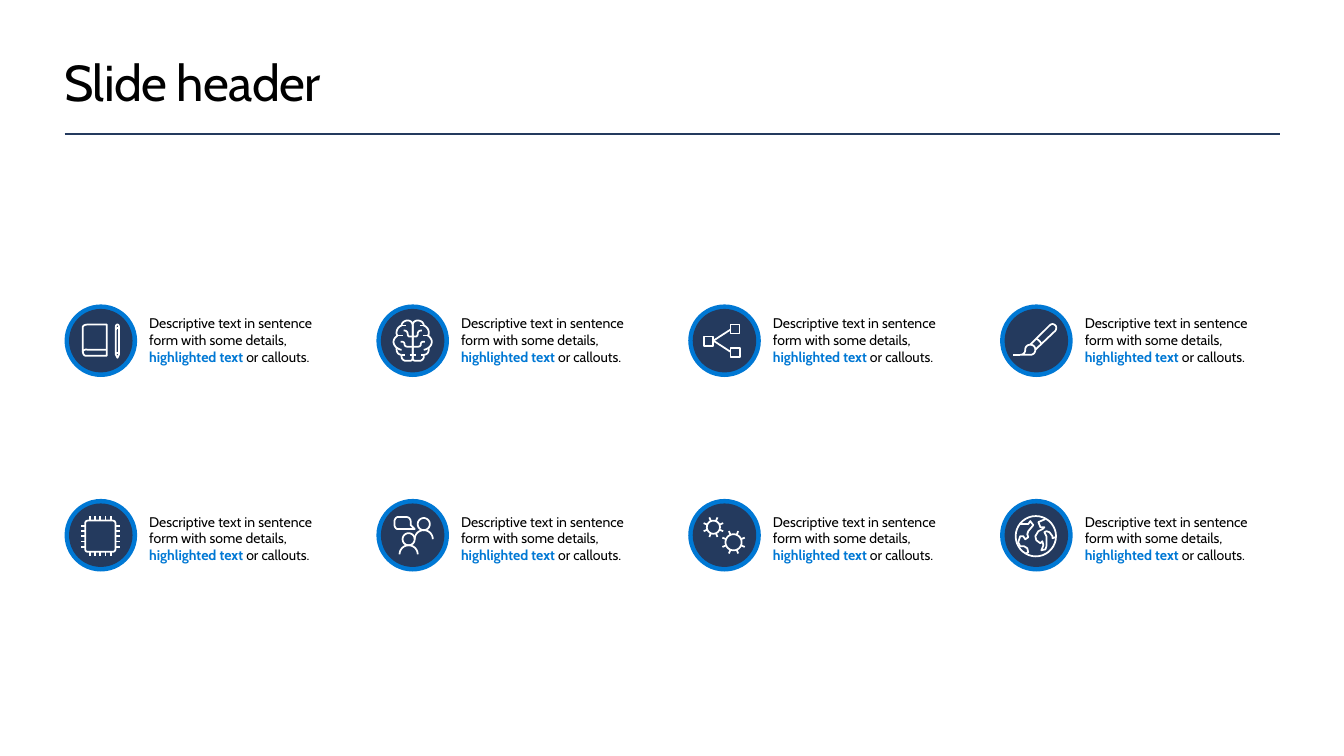
import dataclasses
import math

import lxml.etree
import pptx
import pptx.dml.color
import pptx.enum.shapes
import pptx.enum.text
import pptx.oxml.ns
import pptx.util

Point = tuple[float, float]
Stroke = list[Point]

NAVY = pptx.dml.color.RGBColor(0x24, 0x3A, 0x5E)
BLUE = pptx.dml.color.RGBColor(0x00, 0x78, 0xD4)
BLACK = pptx.dml.color.RGBColor(0x00, 0x00, 0x00)
WHITE = pptx.dml.color.RGBColor(0xFF, 0xFF, 0xFF)

FONT = "Cabin"
MARGIN, RIGHT, RULE_TOP = 0.64, 12.7, 1.33
COLUMNS, COLUMN_PITCH = 4, 3.093
ROW_CENTRES, ROW_TEXT_CENTRES = (3.38, 5.31), (3.37, 5.34)
DISC, INNER_DISC = 0.72, 0.63
TEXT_INDENT, TEXT_WIDTH, TEXT_HEIGHT = 0.84, 1.93, 0.98


@dataclasses.dataclass(frozen=True)
class Item:
    """A grid cell; strokes are in hundredths of an inch from the disc's centre."""
    column: int
    row: int
    strokes: list[Stroke]


@dataclasses.dataclass(frozen=True)
class Run:
    text: str
    color: pptx.dml.color.RGBColor = BLACK
    bold: bool = False


DESCRIPTION = [
    Run("Descriptive text in sentence form with some details, "),
    Run("highlighted text ", BLUE, True),
    Run("or callouts."),
]


def bezier(a: Point, b: Point, c: Point, d: Point, steps: int = 8) -> Stroke:
    points = []
    for i in range(1, steps + 1):
        t = i / steps
        weights = ((1 - t) ** 3, 3 * t * (1 - t) ** 2, 3 * t * t * (1 - t), t ** 3)
        points.append(tuple(sum(w * q[axis] for w, q in zip(weights, (a, b, c, d)))
                            for axis in (0, 1)))
    return points


def path(commands: str) -> list[Stroke]:
    """Turn M, L, C and Z commands into strokes, with curves sampled."""
    strokes, mode, values = [], "", []
    for token in commands.split():
        if token == "Z":
            strokes[-1].append(strokes[-1][0])
        elif token in "MLC":
            mode = token
        else:
            values.append(float(token))
            if len(values) == (6 if mode == "C" else 2):
                points = list(zip(values[::2], values[1::2]))
                if mode == "M":
                    strokes.append(points)
                elif mode == "L":
                    strokes[-1] += points
                else:
                    strokes[-1] += bezier(strokes[-1][-1], *points)
                values = []
    return strokes


def arc(cx: float, cy: float, r: float, start: int = 0, end: int = 360) -> Stroke:
    return [(cx + r * math.cos(math.radians(a)), cy + r * math.sin(math.radians(a)))
            for a in range(start, end + 1, 10)]


def box(x: float, y: float, size: float) -> Stroke:
    return [(x, y), (x + size, y), (x + size, y + size), (x, y + size), (x, y)]


def gear(cx: float, cy: float, r: float, tip: float) -> list[Stroke]:
    teeth = []
    for k in range(8):
        a = math.radians(22.5 + 45 * k)
        teeth.append([(cx + q * math.cos(a), cy + q * math.sin(a)) for q in (r, tip)])
    return [arc(cx, cy, r), *teeth]


def person(cx: float, cy: float) -> list[Stroke]:
    return [arc(cx, cy, 6), arc(cx, cy + 15, 9, 180, 360)]


def with_mirror(strokes: list[Stroke]) -> list[Stroke]:
    return strokes + [[(-x, y) for x, y in stroke] for stroke in strokes]


def chip() -> list[Stroke]:
    strokes = path("M 12 16 L -12 16 C -14 16 -15 15 -15 13 L -15 -12 C -15 -14 -14 -15 -12 -15 "
                   "L 12 -15 C 14 -15 15 -14 15 -12 L 15 13 C 15 15 14 16 12 16 Z")
    for k in range(-2, 3):
        pin = 5.25 * k
        for side in (-1, 1):
            strokes.append([(pin, 0.5 + 15.5 * side), (pin, 0.5 + 20 * side)])
            strokes.append([(15 * side, pin + 0.5), (19.5 * side, pin + 0.5)])
    return [[(x - 0.5, y + 0.5) for x, y in stroke] for stroke in strokes]


BOOK = path("M 6 -16 L 6 15 -15 15 C -15 15 -18 15 -18 9 L -18 -13 C -18 -13 -18 -16 -13 -16 Z "
            "M 6 9 L -13 9 C -13 9 -17 8 -18 11 "
            "M 16.5 17 L 18 14 18 -14 C 18 -14 18 -16 16.5 -16 C 15 -16 15 -14 15 -14 "
            "L 15 14 16.5 17 M 18 -12 C 16 -14 15 -11 15 -11 M 18 13 C 16 11 15 13 15 13")
BRAIN = with_mirror(path(
    "M -11 14 C -14 14 -16 12 -16 8 L -16 7 C -17 6 -19 4 -19 1 C -19 -1 -17 -4 -15 -5 "
    "C -16 -6 -16 -7 -16 -8 C -16 -11 -14 -14 -11 -15 C -11 -18 -8 -20 -5 -20 "
    "C -2 -20 0 -18 0 -15 L 0 14 M -11 14 L -8 14 "
    "M -12 1 L -11 1 C -9 1 -8 2 -8 4 C -8 5 -7 6 -5 6 L 0 6 "
    "M -9 -10 L -8 -10 C -6 -10 -5 -8 -5 -7 C -5 -5 -4 -4 -3 -4 L 0 -4 "
    "M -16 7 C -14 8 -13 9 -11 9 M -15 -5 L -10 -5 M -11 -15 L -7 -15 M -3 14 L 0 14 "
    "M -11 14 L -11 16 C -11 18 -9 20 -7 20 L -3 20 C -1 20 0 19 0 17 L 0 14"))
FLOW = [box(6, -16, 9), box(6, 7, 9.5), box(-20, -4, 9), [(6, -11), (-11, 0), (6, 11)]]
BRUSH = path("M -11 9 C -11 6 -9 4 -6 4 C -3 4 -1 6 -1 9 C -1 12 -3 14 -6 14 L -16 14 "
             "C -13 14 -11 12 -11 9 M -1 9 L 19 -10 C 20 -12 20 -14 19 -15 "
             "C 17 -17 15 -17 13 -15 L -6 4 M 5 3 C 4 1 2 -1 0 -2 M -23 14 L -16 14")
PEOPLE = person(-4, 4) + person(11, -11) + path(
    "M -2 -10 L -2 -14 C -2 -16 -4 -18 -6 -18 L -15 -18 C -16 -18 -18 -16 -18 -14 "
    "L -18 -10 C -18 -8 -16 -6 -15 -6 L 2 -6 Z")
GEARS = gear(-11, -8, 6.5, 10.5) + gear(9, 7, 8, 12)
GLOBE = [arc(-0.5, 1, 20)] + path(
    "M -10 18 L -8 17 -9 13 -12 11 -16 11 -18 7 -16 1 -13 1 -11 4 -8 2 -9 -1 -8 -4 -3 -10 "
    "-6 -14 -8 -11 -17 -11 M 9 -16 L 2 -13 4 -8 8 -8 6 -6 2 -4 -1 1 0 5 4 8 6 6 7 10 5 15 "
    "9 14 10 11 10 1 8 -3 10 -4 13 -3 16 1 16 3 19 2")

ICONS = [BOOK, BRAIN, FLOW, BRUSH, chip(), PEOPLE, GEARS, GLOBE]
ITEMS = [Item(i % COLUMNS, i // COLUMNS, strokes) for i, strokes in enumerate(ICONS)]


def add_text(slide, runs: list[Run], *, left: float, top: float, width: float, height: float,
             size: float, spacing: float = 0) -> None:
    sp = slide.shapes.add_textbox(*map(pptx.util.Inches, (left, top, width, height)))
    tf = sp.text_frame
    tf.word_wrap = True
    tf.vertical_anchor = pptx.enum.text.MSO_ANCHOR.MIDDLE
    tf.margin_left = tf.margin_top = tf.margin_right = tf.margin_bottom = 0
    p = tf.paragraphs[0]
    for run in runs:
        r = p.add_run()
        r.text = run.text
        r.font.name, r.font.size, r.font.bold = FONT, pptx.util.Pt(size), run.bold
        r.font.color.rgb = run.color
        if spacing:
            r.font._element.set("spc", str(round(spacing * 100)))


def add_disc(shapes, cx: float, cy: float, size: float, color: pptx.dml.color.RGBColor) -> None:
    s = shapes.add_shape(pptx.enum.shapes.MSO_SHAPE.OVAL, *map(
        pptx.util.Inches, (cx - size / 2, cy - size / 2, size, size)))
    s.shadow.inherit = False
    s.fill.solid()
    s.fill.fore_color.rgb = color
    s.line.fill.background()


def add_icon(shapes, cx: float, cy: float, strokes: list[Stroke]) -> None:
    contours = [[(pptx.util.Inches(cx + x / 100), pptx.util.Inches(cy + y / 100))
                 for x, y in stroke] for stroke in strokes]
    builder = shapes.build_freeform(*contours[0][0])
    for i, contour in enumerate(contours):
        if i:
            builder.move_to(*contour[0])
        builder.add_line_segments(contour[1:], close=False)
    s = builder.convert_to_shape()
    s.shadow.inherit = False
    s.fill.background()
    s.line.color.rgb, s.line.width = WHITE, pptx.util.Pt(1.25)


def add_item(slide, item: Item) -> None:
    left = MARGIN + item.column * COLUMN_PITCH
    cx, cy = left + DISC / 2, ROW_CENTRES[item.row]
    shapes = slide.shapes.add_group_shape().shapes
    add_disc(shapes, cx, cy, DISC, BLUE)
    add_disc(shapes, cx, cy, INNER_DISC, NAVY)
    add_icon(shapes, cx, cy, item.strokes)
    add_text(slide, DESCRIPTION, left=left + TEXT_INDENT, width=TEXT_WIDTH, height=TEXT_HEIGHT,
             top=ROW_TEXT_CENTRES[item.row] - TEXT_HEIGHT / 2, size=10)


def add_rule(slide) -> None:
    s = slide.shapes.add_connector(pptx.enum.shapes.MSO_CONNECTOR.STRAIGHT, *map(
        pptx.util.Inches, (MARGIN, RULE_TOP, RIGHT, RULE_TOP)))
    s.line.color.rgb, s.line.width = NAVY, pptx.util.Pt(2)
    lxml.etree.SubElement(s._element.spPr, pptx.oxml.ns.qn("a:effectLst"))


def main() -> None:
    prs = pptx.Presentation()
    prs.slide_width, prs.slide_height = pptx.util.Inches(13.33), pptx.util.Inches(7.5)
    slide = prs.slides.add_slide(prs.slide_layouts[6])
    add_rule(slide)
    add_text(slide, [Run("Slide header")], left=MARGIN, top=0.5, width=RIGHT - MARGIN,
             height=0.61, size=36, spacing=-0.5)
    for item in ITEMS:
        add_item(slide, item)
    prs.save("out.pptx")


if __name__ == "__main__":
    main()
